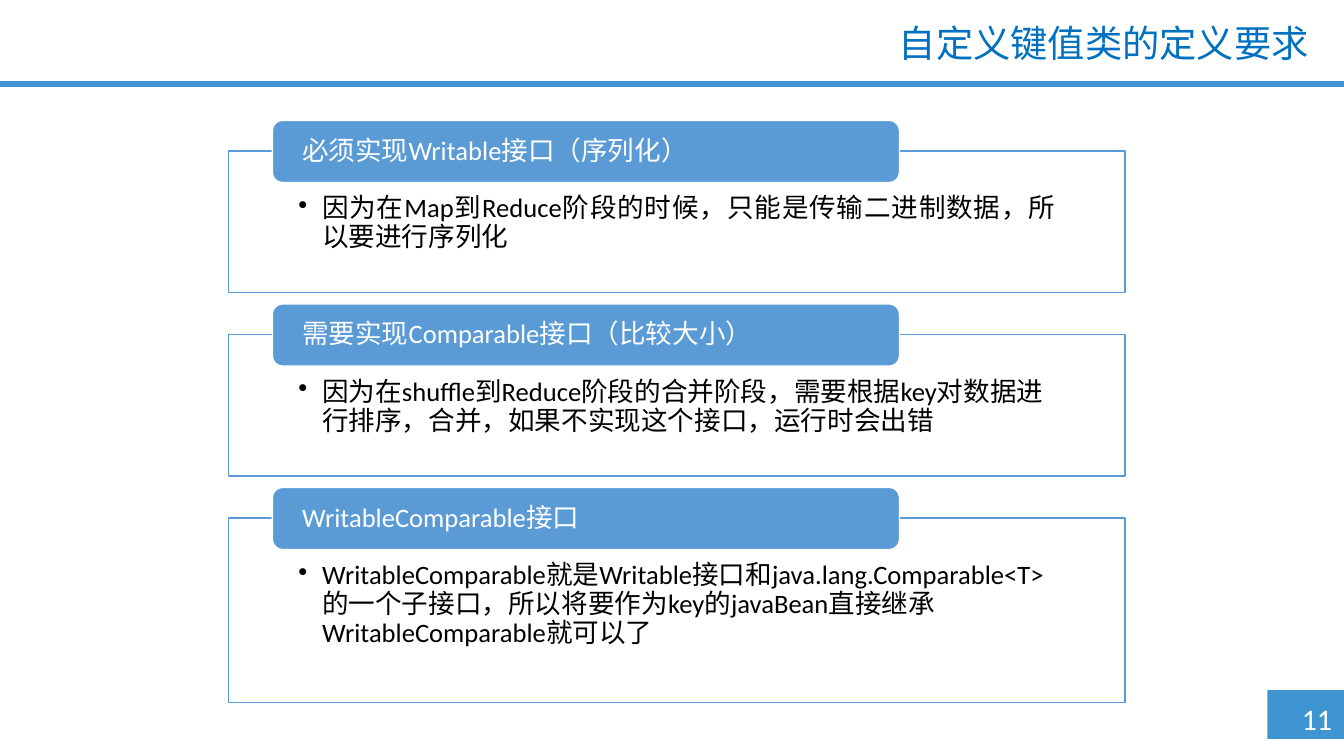
"""Build a slide with the requirements for custom key and value classes."""
from dataclasses import dataclass

import lxml.etree
import pptx
import pptx.dml.color
import pptx.enum.shapes
import pptx.enum.text
import pptx.oxml.ns
import pptx.util

Inches = pptx.util.Inches
Align = pptx.enum.text.PP_ALIGN
Anchor = pptx.enum.text.MSO_ANCHOR
Preset = pptx.enum.shapes.MSO_SHAPE

BAND_BLUE = "3F95D2"
CARD_BLUE = "5B9BD5"
TITLE_BLUE = "0070C0"
WHITE = "FFFFFF"
BLACK = "000000"

FIRST_CARD_TOP = 1.58
CARD_PITCH = 1.92
HEADER_RISE = 0.32


@dataclass(frozen=True)
class Area:
    left: float
    top: float
    width: float
    height: float

    def lengths(self) -> list:
        return [Inches(value) for value in (self.left, self.top, self.width, self.height)]


@dataclass(frozen=True)
class Card:
    heading: str
    reason: str
    height: float = 1.48
    align: Align = Align.LEFT


CARDS = [
    Card("必须实现Writable接口（序列化）",
         "因为在Map到Reduce阶段的时候，只能是传输二进制数据，所以要进行序列化",
         align=Align.JUSTIFY),
    Card("需要实现Comparable接口（比较大小）",
         "因为在shuffle到Reduce阶段的合并阶段，需要根据key对数据进行排序，合并，"
         "如果不实现这个接口，运行时会出错"),
    Card("WritableComparable接口",
         "WritableComparable就是Writable接口和java.lang.Comparable<T>的一个子接口，"
         "所以将要作为key的javaBean直接继承WritableComparable就可以了",
         height=1.93),
]


def color(value: str) -> pptx.dml.color.RGBColor:
    return pptx.dml.color.RGBColor.from_string(value)


def add_block(page, area: Area, fill: str, line: str | None = None, preset=Preset.RECTANGLE):
    block = page.shapes.add_shape(preset, *area.lengths())
    block.shadow.inherit = False
    block.fill.solid()
    block.fill.fore_color.rgb = color(fill)
    if line:
        block.line.color.rgb = color(line)
        block.line.width = pptx.util.Pt(1)
    else:
        block.line.fill.background()
    return block


def add_bullet(para) -> None:
    para.level = 1
    properties = para._p.get_or_add_pPr()
    properties.set("marL", str(Inches(0.25)))
    properties.set("indent", str(-Inches(0.25)))
    bullet = lxml.etree.SubElement(properties, pptx.oxml.ns.qn("a:buChar"))
    bullet.set("char", "•")


def write_text(shape, text: str, *, size: float = 20, font: str = "Calibri", ink: str = WHITE,
               align=Align.LEFT, anchor=Anchor.TOP, spacing: float = 0.9, wrap: bool = True,
               insets: tuple = (0.1, 0.05, 0.1, 0.05), bulleted: bool = False) -> None:
    frame = shape.text_frame
    frame.word_wrap = wrap
    frame.vertical_anchor = anchor
    frame.margin_left, frame.margin_top, frame.margin_right, frame.margin_bottom = map(Inches, insets)
    para = frame.paragraphs[0]
    para.alignment = align
    para.line_spacing = spacing
    if bulleted:
        add_bullet(para)
    span = para.add_run()
    span.text = text
    span.font.size = pptx.util.Pt(size)
    span.font.name = font
    span.font.color.rgb = color(ink)


def add_card(page, card: Card, top: float) -> None:
    body = add_block(page, Area(2.39, top, 9.38, card.height), WHITE, CARD_BLUE)
    write_text(body, card.reason, ink=BLACK, align=card.align,
               insets=(0.73, 0.46, 0.73, 0.16), bulleted=True)
    header = add_block(page, Area(2.85, top - HEADER_RISE, 6.56, 0.65), CARD_BLUE, WHITE,
                       Preset.ROUNDED_RECTANGLE)
    write_text(header, card.heading, align=card.align, anchor=Anchor.MIDDLE,
               insets=(0.28, 0, 0.28, 0))


def main() -> None:
    deck = pptx.Presentation()
    deck.slide_width, deck.slide_height = Inches(14.06), Inches(7.91)
    page = deck.slides.add_slide(deck.slide_layouts[6])

    add_block(page, Area(13.26, 7.22, 0.8, 0.51), BAND_BLUE)
    add_block(page, Area(0, 0.85, 14.06, 0.06), BAND_BLUE)
    number = page.shapes.add_textbox(*Area(13.52, 7.28, 0.65, 0.48).lengths())
    write_text(number, "11", size=22.5, spacing=1.0, wrap=False)

    for index, card in enumerate(CARDS):
        add_card(page, card, FIRST_CARD_TOP + index * CARD_PITCH)

    title = page.shapes.add_textbox(*Area(9, 0.22, 4.79, 0.57).lengths())
    write_text(title, "自定义键值类的定义要求", size=28.1, font="Lato", ink=TITLE_BLUE,
               align=Align.RIGHT)
    deck.save("out.pptx")


if __name__ == "__main__":
    main()
